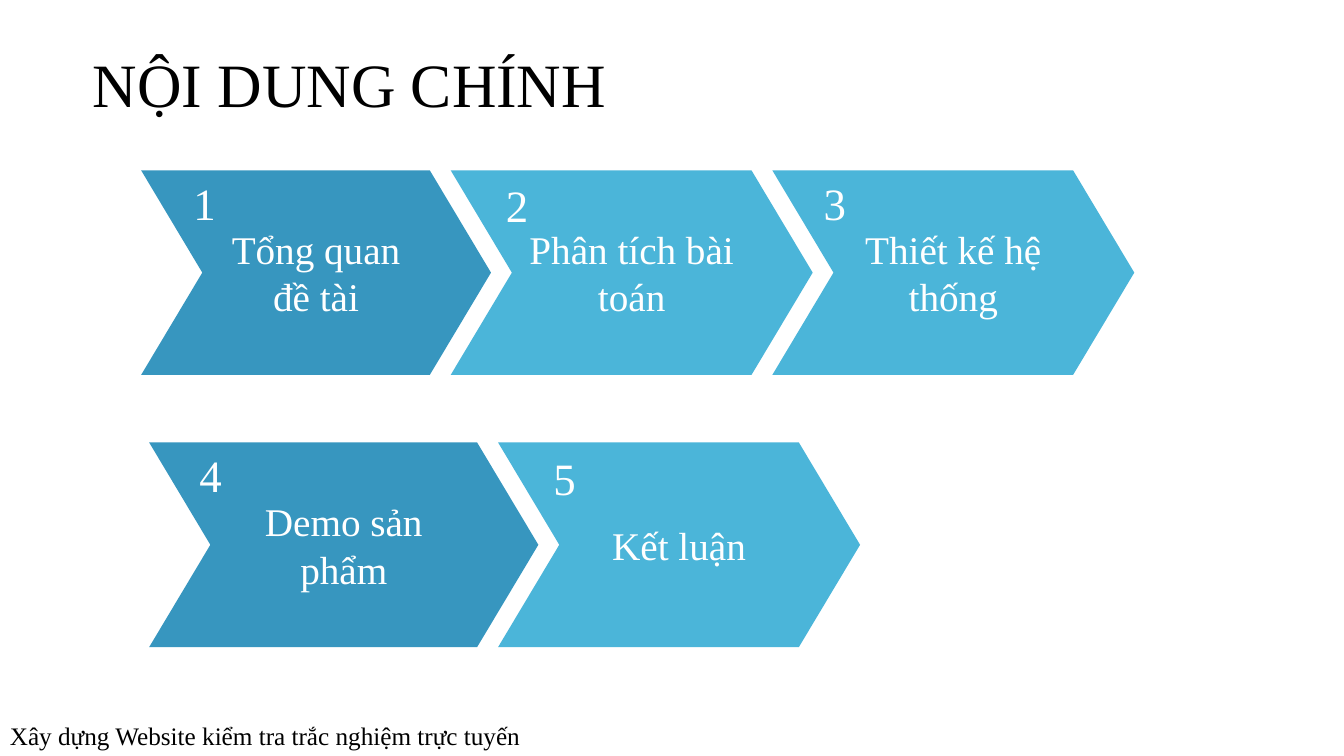
from pptx import Presentation
from pptx.dml.color import RGBColor
from pptx.enum.shapes import MSO_SHAPE
from pptx.enum.text import MSO_ANCHOR, PP_ALIGN
from pptx.util import Inches, Pt

CHEVRON = MSO_SHAPE.CHEVRON
MIDDLE, TOP = MSO_ANCHOR.MIDDLE, MSO_ANCHOR.TOP
LEFT, CENTER = PP_ALIGN.LEFT, PP_ALIGN.CENTER

FONT = "Times New Roman"
BLACK, WHITE = "000000", "FFFFFF"
FIRST_FILL, NEXT_FILL = "3796BF", "4BB5D9"

TITLE = "NỘI DUNG CHÍNH"
FOOTER = "Xây dựng Website kiểm tra trắc nghiệm trực tuyến"
# Each row: left edge, then (label, chevron width, number offset right and down)
ROWS = [
    (1.4, [("Tổng quan đề tài", 3.47, 0.42, 0),
           ("Phân tích bài toán", 3.59, 0.45, 0.02),
           ("Thiết kế hệ thống", 3.59, 0.41, 0)]),
    (1.48, [("Demo sản phẩm", 3.86, 0.4, 0),
            ("Kết luận", 3.59, 0.45, 0.03)]),
]
FIRST_TOP, ROW_PITCH = 1.69, 2.7
CHEVRON_HEIGHT, OVERLAP = 2.03, 0.4
NUMBER_SIZE = (0.65, 0.64)


def color(hex_value):
    """Turn a hex string into a colour."""
    return RGBColor.from_string(hex_value)


def write(shape, text, size, ink, align=LEFT, anchor=TOP):
    """Put one formatted run of text into a shape."""
    frame = shape.text_frame
    frame.word_wrap = True
    frame.vertical_anchor = anchor
    paragraph = frame.paragraphs[0]
    paragraph.alignment = align
    run = paragraph.add_run()
    run.text = text
    run.font.name = FONT
    run.font.size = Pt(size)
    run.font.color.rgb = color(ink)
    return paragraph


def add_label(slide, box, text, size, ink):
    """Add a text box at left, top, width, height in inches."""
    label = slide.shapes.add_textbox(*map(Inches, box))
    write(label, text, size, ink)


def add_chevron(slide, box, text, fill):
    """Add a filled chevron with a centred label."""
    chevron = slide.shapes.add_shape(CHEVRON, *map(Inches, box))
    chevron.adjustments[0] = 0.299
    chevron.shadow.inherit = False
    chevron.fill.solid()
    chevron.fill.fore_color.rgb = color(fill)
    chevron.line.fill.background()
    frame = chevron.text_frame
    frame.margin_left = frame.margin_right = Inches(0.1)
    frame.margin_top = frame.margin_bottom = Inches(0.1)
    write(chevron, text, 28, WHITE, CENTER, MIDDLE)


def add_title(slide):
    """Place and fill the title placeholder."""
    title = slide.shapes.title
    title.left, title.top = Inches(0.82), Inches(0.14)
    title.width, title.height = Inches(11.14), Inches(1.45)
    write(title, TITLE, 44, BLACK, LEFT, MIDDLE).line_spacing = 0.9


def add_steps(slide):
    """Lay out the numbered chevrons row by row."""
    number = 1
    for row, (left, steps) in enumerate(ROWS):
        top = FIRST_TOP + row * ROW_PITCH
        for column, (text, width, right, down) in enumerate(steps):
            fill = NEXT_FILL if column else FIRST_FILL
            add_chevron(slide, (left, top, width, CHEVRON_HEIGHT), text, fill)
            add_label(slide, (left + right, top + down, *NUMBER_SIZE),
                      str(number), 32, WHITE)
            left += width - OVERLAP
            number += 1


presentation = Presentation()
presentation.slide_width = Inches(13.33)
presentation.slide_height = Inches(7.5)
slide = presentation.slides.add_slide(presentation.slide_layouts[5])
add_title(slide)
add_steps(slide)
add_label(slide, (0, 7.1, 5.34, 0.4), FOOTER, 18, BLACK)
presentation.save("out.pptx")
